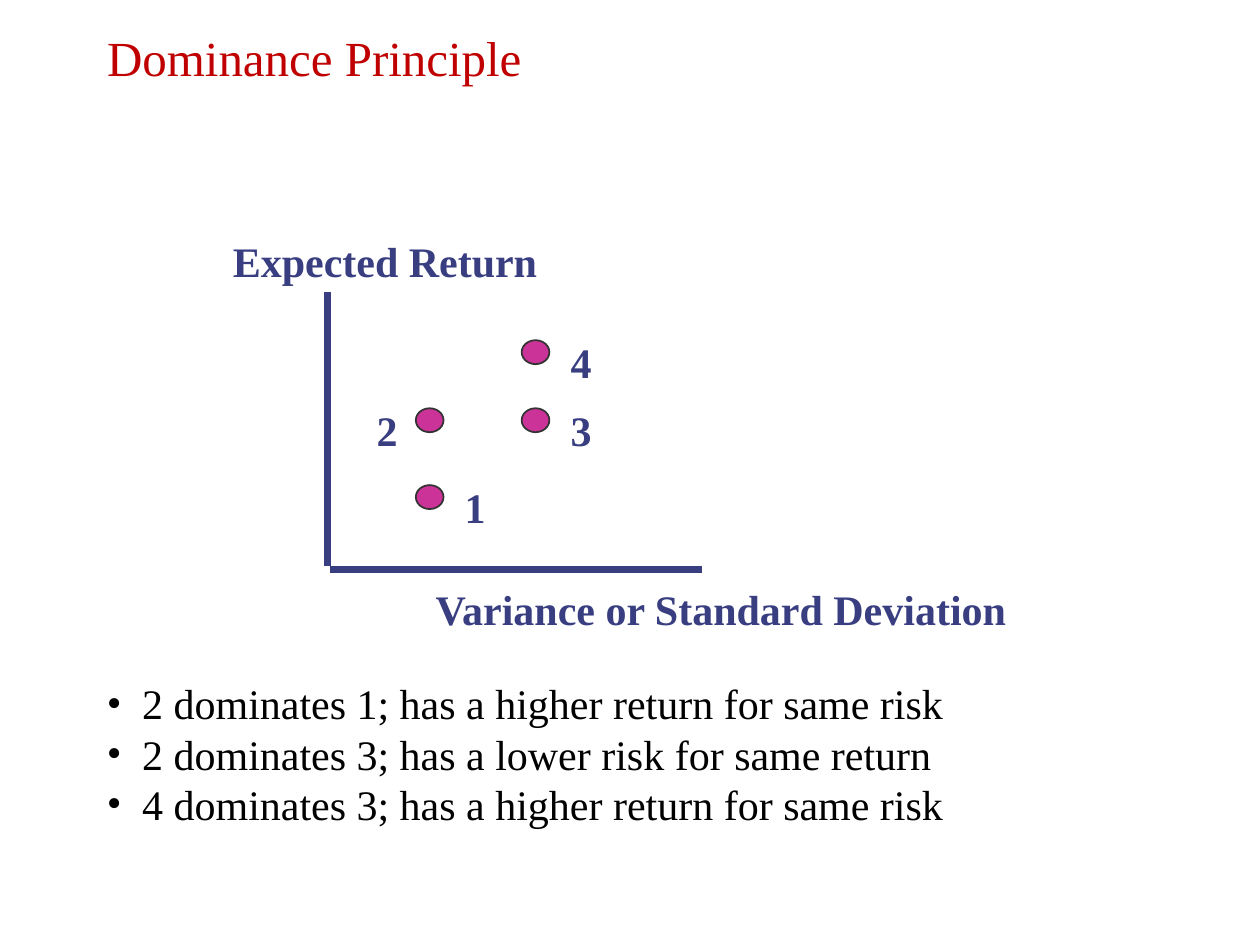
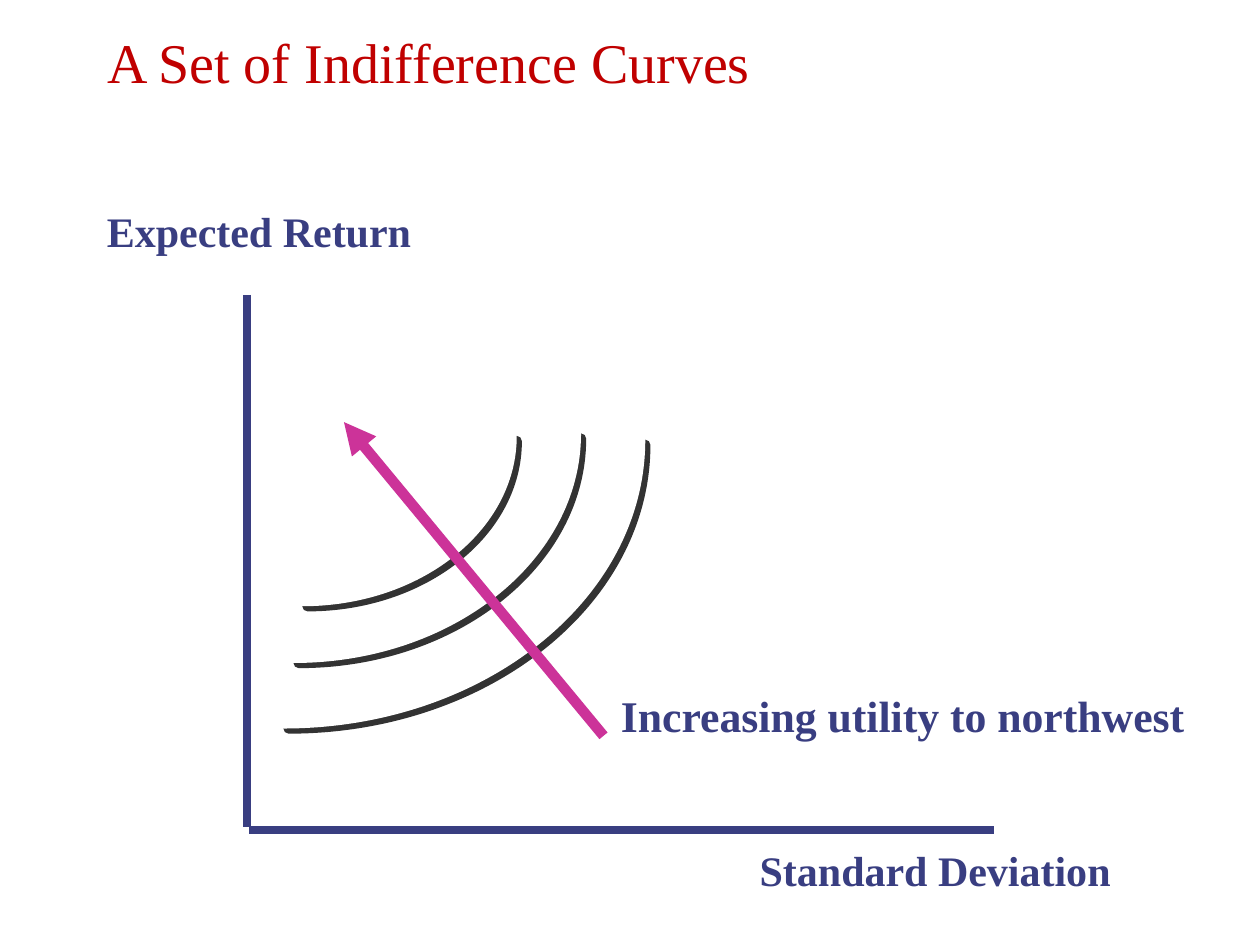
import pptx
import pptx.dml.color
import pptx.enum.shapes
import pptx.enum.text
import pptx.oxml
import pptx.oxml.ns
import pptx.util
from dataclasses import dataclass
from pptx.util import Inches


# Colours and type sizes
@dataclass(frozen=True)
class Theme:
    font: str = "Times New Roman"
    title_color: str = "C00000"
    axis_color: str = "393E81"
    accent_color: str = "CC3399"
    outline_color: str = "333333"
    text_color: str = "000000"
    background: str = "FFFFFF"
    label_size: int = 24
    utility_size: int = 25
    small_title_size: int = 28
    large_title_size: int = 32


THEME = Theme()
CIRCLE_HANDLE = 0.5523  # Bezier handle length for a quarter of a unit circle


def rgb(color):
    return pptx.dml.color.RGBColor.from_string(color)


def add_element(parent, tag, **attributes):
    element = pptx.oxml.parse_xml(f"<a:{tag} {pptx.oxml.ns.nsdecls('a')}/>")
    for name, value in attributes.items():
        element.set(name, str(value))
    parent.append(element)
    return element


# Text
def add_run(paragraph, text, size, color, bold=False):
    run = paragraph.add_run()
    run.text = text
    run.font.name = THEME.font
    run.font.size = pptx.util.Pt(size)
    run.font.bold = bold
    run.font.color.rgb = rgb(color)


def format_frame(frame):
    frame.word_wrap = True
    frame.auto_size = pptx.enum.text.MSO_AUTO_SIZE.NONE
    frame.vertical_anchor = pptx.enum.text.MSO_ANCHOR.TOP
    frame.margin_left = Inches(0.1)
    frame.margin_right = 0
    frame.margin_top = frame.margin_bottom = Inches(0.05)


def add_text_box(slide, left, top, width, height):
    box = slide.shapes.add_textbox(
        Inches(left), Inches(top), Inches(width), Inches(height))
    format_frame(box.text_frame)
    return box.text_frame


def add_label(slide, text, left, top, width, height=0.5, size=THEME.label_size):
    frame = add_text_box(slide, left, top, width, height)
    add_run(frame.paragraphs[0], text, size, THEME.axis_color, bold=True)


def add_bullets(slide, lines, left, top, width, height):
    frame = add_text_box(slide, left, top, width, height)
    for index, line in enumerate(lines):
        paragraph = frame.paragraphs[0] if index == 0 else frame.add_paragraph()
        properties = paragraph._p.get_or_add_pPr()
        properties.set("marL", str(Inches(0.28)))
        properties.set("indent", str(-Inches(0.28)))
        add_element(properties, "buFont", typeface=THEME.font)
        add_element(properties, "buChar", char="•")
        add_run(paragraph, line, THEME.label_size, THEME.text_color)


def add_titled_slide(presentation, text, size, title_width):
    slide = presentation.slides.add_slide(presentation.slide_layouts[5])
    slide.background.fill.solid()
    slide.background.fill.fore_color.rgb = rgb(THEME.background)
    title = slide.shapes.title
    title.left, title.top = Inches(0.75), Inches(0.17)
    title.width, title.height = Inches(title_width), Inches(0.92)
    format_frame(title.text_frame)
    paragraph = title.text_frame.paragraphs[0]
    paragraph.alignment = pptx.enum.text.PP_ALIGN.LEFT
    add_run(paragraph, text, size, THEME.title_color)
    return slide


# Lines and marks
def add_line(slide, start, end, color, width):
    connector = slide.shapes.add_connector(
        pptx.enum.shapes.MSO_CONNECTOR.STRAIGHT,
        *(Inches(value) for value in (*start, *end)))
    connector.line.color.rgb = rgb(color)
    connector.line.width = pptx.util.Pt(width)
    add_element(connector._element.spPr, "effectLst")
    return connector


def add_axes(slide, left, top, right, bottom, width):
    add_line(slide, (left, top), (left, bottom), THEME.axis_color, width)
    corner = (left + 0.02, bottom + 0.03)
    add_line(slide, corner, (right, corner[1]), THEME.axis_color, width)


def add_arrow(slide, start, end):
    arrow = add_line(slide, start, end, THEME.accent_color, 6)
    add_element(arrow.line._get_or_add_ln(), "tailEnd", type="triangle")


def add_asset(slide, name, left, top, label_offset):
    dot = slide.shapes.add_shape(
        pptx.enum.shapes.MSO_SHAPE.OVAL,
        Inches(left), Inches(top), Inches(0.22), Inches(0.19))
    dot.shadow.inherit = False
    dot.fill.solid()
    dot.fill.fore_color.rgb = rgb(THEME.accent_color)
    dot.line.color.rgb = rgb(THEME.outline_color)
    dot.line.width = pptx.util.Pt(1)
    add_label(slide, name, left + label_offset, top - 0.08, 0.36)


def bend_segments(shape):
    """Turn the three segments of an outline into one Bezier curve."""
    outline = shape._element.spPr.find(".//" + pptx.oxml.ns.qn("a:path"))
    segments = outline.findall(pptx.oxml.ns.qn("a:lnTo"))
    curve = add_element(outline, "cubicBezTo")
    for segment in segments:
        curve.append(segment[0])
        outline.remove(segment)


def add_indifference_curve(slide, left, top, width, height):
    """Quarter ellipse in the background colour, seen by its hard shadow."""
    unit_points = ((1, 0), (1, CIRCLE_HANDLE), (CIRCLE_HANDLE, 1), (0, 1))
    points = [(Inches(left + width * x), Inches(top + height * y))
              for x, y in unit_points]
    builder = slide.shapes.build_freeform(*points[0])
    builder.add_line_segments(points[1:], close=False)
    curve = builder.convert_to_shape()
    bend_segments(curve)
    curve.fill.background()
    curve.line.color.rgb = rgb(THEME.background)
    curve.line.width = pptx.util.Pt(6)
    line = curve.line._get_or_add_ln()
    line.set("cap", "rnd")
    add_element(line, "round")
    effects = add_element(curve._element.spPr, "effectLst")
    shadow = add_element(effects, "outerShdw", dist=pptx.util.Pt(4.2),
                         dir=45 * 60000, algn="ctr", rotWithShape=0)
    add_element(shadow, "srgbClr", val=THEME.outline_color)


# Slides
def build_dominance_slide(presentation):
    slide = add_titled_slide(presentation, "Dominance Principle",
                             THEME.small_title_size, 8.67)
    add_axes(slide, 2.6, 2.32, 5.57, 4.49, 4)
    low_risk, high_risk = 3.3, 4.14
    beside_right, beside_left = 0.29, -0.41
    for name, left, top, offset in (
            ("1", low_risk, 3.85, beside_right),
            ("2", low_risk, 3.24, beside_left),
            ("3", high_risk, 3.24, beside_right),
            ("4", high_risk, 2.7, beside_right)):
        add_asset(slide, name, left, top, offset)
    add_label(slide, "Expected Return", 1.75, 1.82, 2.61)
    add_label(slide, "Variance or Standard Deviation", 3.36, 4.58, 4.76)
    add_bullets(slide, (
        "2 dominates 1; has a higher return for same risk",
        "2 dominates 3; has a lower risk for same return",
        "4 dominates 3; has a higher return for same risk",
    ), 0.75, 5.33, 7.34, 1.3)


def build_indifference_slide(presentation):
    slide = add_titled_slide(presentation, "A Set of Indifference Curves",
                             THEME.large_title_size, 8.5)
    add_axes(slide, 1.96, 2.34, 7.89, 6.56, 4.5)
    add_label(slide, "Expected Return", 0.75, 1.58, 2.86)
    add_label(slide, "Standard Deviation", 5.93, 6.65, 2.99)
    for left, top, width, height in ((2.4, 3.46, 1.66, 1.31),
                                     (2.33, 3.44, 2.24, 1.78),
                                     (2.25, 3.49, 2.83, 2.25)):
        add_indifference_curve(slide, left, top, width, height)
    add_arrow(slide, (4.79, 5.84), (2.73, 3.35))
    add_label(slide, "Increasing utility to northwest", 4.83, 5.42, 4.84, 0.52,
              THEME.utility_size)


def main():
    presentation = pptx.Presentation()
    presentation.slide_width = Inches(10)
    presentation.slide_height = Inches(7.5)
    build_dominance_slide(presentation)
    build_indifference_slide(presentation)
    presentation.save("out.pptx")


if __name__ == "__main__":
    main()
